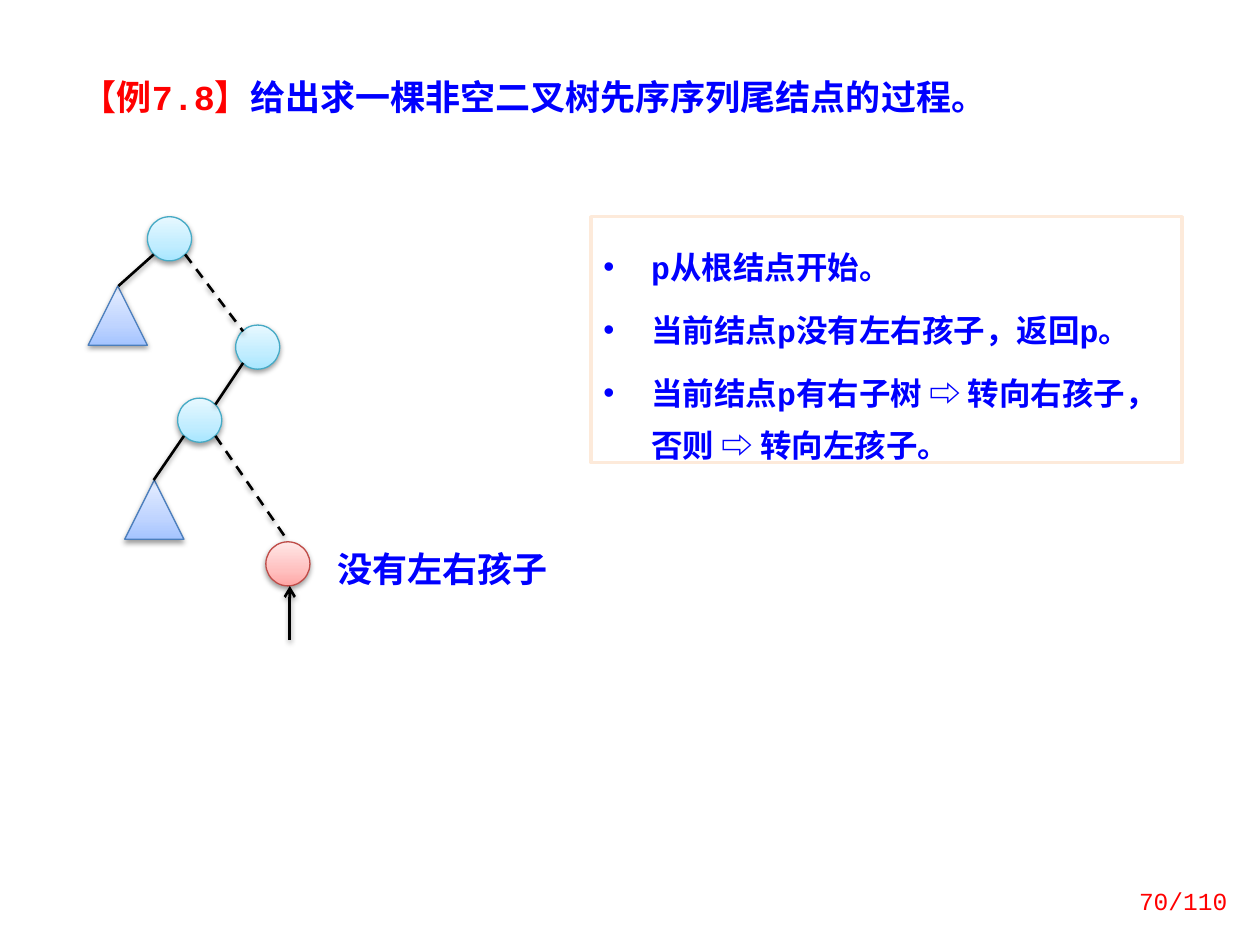
from copy import deepcopy

from lxml import etree
from pptx import Presentation
from pptx.dml.color import RGBColor
from pptx.enum.dml import MSO_LINE
from pptx.enum.shapes import MSO_CONNECTOR, MSO_SHAPE
from pptx.enum.text import MSO_ANCHOR, PP_ALIGN
from pptx.oxml.ns import qn
from pptx.util import Inches, Pt

OVAL, TRIANGLE, RECT = MSO_SHAPE.OVAL, MSO_SHAPE.ISOSCELES_TRIANGLE, MSO_SHAPE.RECTANGLE
STRAIGHT, DASH = MSO_CONNECTOR.STRAIGHT, MSO_LINE.DASH
LEFT, RIGHT = PP_ALIGN.LEFT, PP_ALIGN.RIGHT
TOP, MIDDLE = MSO_ANCHOR.TOP, MSO_ANCHOR.MIDDLE

COLORS = {"red": "FF0000", "blue": "0000FF", "black": "000000", "white": "FFFFFF",
          "cream": "FDEADA", "node": "46AAC5", "subtree": "4B7EBC", "last": "BF4C48"}
GRADIENTS = {"node": ("A7E6FF", "C1EDFF", "E7F8FF"),
             "subtree": ("A4C4FF", "BFD4FF", "E6EEFF"),
             "last": ("FFA6A5", "FFC0BF", "FFE7E7")}
STOPS = (0, 0.35, 1)
FONT = "Courier New"
CELL = 0.1
NODE, SUBTREE = 3.5, 4.7


def grid(*cells):
    return [Inches(c * CELL) for c in cells]


def rgb(name):
    return RGBColor.from_string(COLORS[name])


def add_text(p, text, size=20, color="blue", bold=True):
    r = p.add_run()
    r.text = text
    r.font.name, r.font.size, r.font.bold = FONT, Pt(size), bold
    r.font.color.rgb = rgb(color)


def add_shadow(sp):
    spPr = sp._element.spPr
    effects = spPr.find(qn("a:effectLst"))
    if effects is None:
        effects = etree.SubElement(spPr, qn("a:effectLst"))
    outer = etree.SubElement(effects, qn("a:outerShdw"), blurRad=str(Pt(3.1)),
                             dist=str(Pt(1.6)), dir="5400000", rotWithShape="0")
    color = etree.SubElement(outer, qn("a:srgbClr"), val=COLORS["black"])
    etree.SubElement(color, qn("a:alpha"), val="38000")


class TreeSlide:
    """Draws tree parts and text on one slide, measured in grid cells."""

    def __init__(self, prs):
        self.s = prs.slides.add_slide(prs.slide_layouts[6])

    def shape(self, kind, x, y, w, h, line, width):
        sp = self.s.shapes.add_shape(kind, *grid(x, y, w, h))
        sp.shadow.inherit = False
        sp.line.color.rgb, sp.line.width = rgb(line), Pt(width)
        return sp

    def tree_part(self, kind, style, x, y, size):
        sp = self.shape(kind, x, y, size, size, style, 0.75)
        sp.fill.gradient()
        sp.fill.gradient_angle = 90
        stops = sp._element.spPr.find(qn("a:gradFill")).find(qn("a:gsLst"))
        stops.insert(1, deepcopy(stops[0]))
        for stop, position, color in zip(sp.fill.gradient_stops, STOPS, GRADIENTS[style]):
            stop.position = position
            stop.color.rgb = RGBColor.from_string(color)
        add_shadow(sp)

    def edge(self, x1, y1, x2, y2, dashed=False, arrow=False):
        c = self.s.shapes.add_connector(STRAIGHT, *grid(x1, y1, x2, y2))
        c.line.color.rgb, c.line.width = rgb("black"), Pt(1.5)
        if dashed:
            c.line.dash_style = DASH
        if arrow:
            etree.SubElement(c.line._get_or_add_ln(), qn("a:tailEnd"), type="arrow")
        add_shadow(c)

    def text(self, x, y, w, h, runs, align=LEFT, anchor=TOP):
        tf = self.s.shapes.add_textbox(*grid(x, y, w, h)).text_frame
        tf.word_wrap, tf.vertical_anchor = True, anchor
        p = tf.paragraphs[0]
        p.alignment = align
        for text, fmt in runs:
            add_text(p, text, **fmt)

    def bullet_box(self, x, y, w, h, items):
        sp = self.shape(RECT, x, y, w, h, "cream", 2)
        sp.fill.solid()
        sp.fill.fore_color.rgb = rgb("white")
        tf = sp.text_frame
        tf.word_wrap, tf.vertical_anchor = True, TOP
        tf.margin_top = Inches(0.13)
        for i, item in enumerate(items):
            p = tf.add_paragraph() if i else tf.paragraphs[0]
            pPr = p._p.get_or_add_pPr()
            pPr.set("marL", str(Inches(0.38)))
            pPr.set("indent", str(Inches(-0.38)))
            etree.SubElement(pPr, qn("a:buFont"), typeface="Arial")
            etree.SubElement(pPr, qn("a:buChar"), char="•")
            p.alignment, p.line_spacing = LEFT, Pt(30)
            if i:
                p.space_before = Pt(6)
            add_text(p, item, size=18)


def main():
    prs = Presentation()
    prs.slide_width, prs.slide_height = Inches(10), Inches(7.5)
    slide = TreeSlide(prs)

    slide.text(5.5, 5.5, 82, 4.4, [("【例7.8】", {"color": "red"}),
                                   ("给出求一棵非空二叉树先序序列尾结点的过程。", {})])

    for x, y, style in ((11.7, 17.2, "node"), (18.7, 25.8, "node"),
                        (14.1, 31.6, "node"), (21.1, 43, "last")):
        slide.tree_part(OVAL, style, x, y, NODE)
    for x, y in ((7, 22.7), (9.9, 38.1)):
        slide.tree_part(TRIANGLE, "subtree", x, y, SUBTREE)

    for ends in ((12.2, 20.2, 9.4, 22.7), (19.3, 28.8, 17.1, 32.1), (14.6, 34.6, 12.2, 38.1)):
        slide.edge(*ends)
    for ends in ((14.7, 20.2, 19.3, 26.3), (17.1, 34.6, 22.9, 43)):
        slide.edge(*ends, dashed=True)
    slide.edge(23, 50.8, 23, 46.5, arrow=True)
    slide.text(25.8, 43, 19.5, 4.4, [("没有左右孩子", {})])

    slide.bullet_box(46.9, 17.2, 46.9, 19.5, (
        "p从根结点开始。",
        "当前结点p没有左右孩子，返回p。",
        "当前结点p有右子树 ⇨ 转向右孩子，否则 ⇨ 转向左孩子。"))
    slide.text(87, 69.5, 11.4, 4, [("70/110", {"size": 14, "color": "red", "bold": False})],
               align=RIGHT, anchor=MIDDLE)
    prs.save("out.pptx")


if __name__ == "__main__":
    main()
